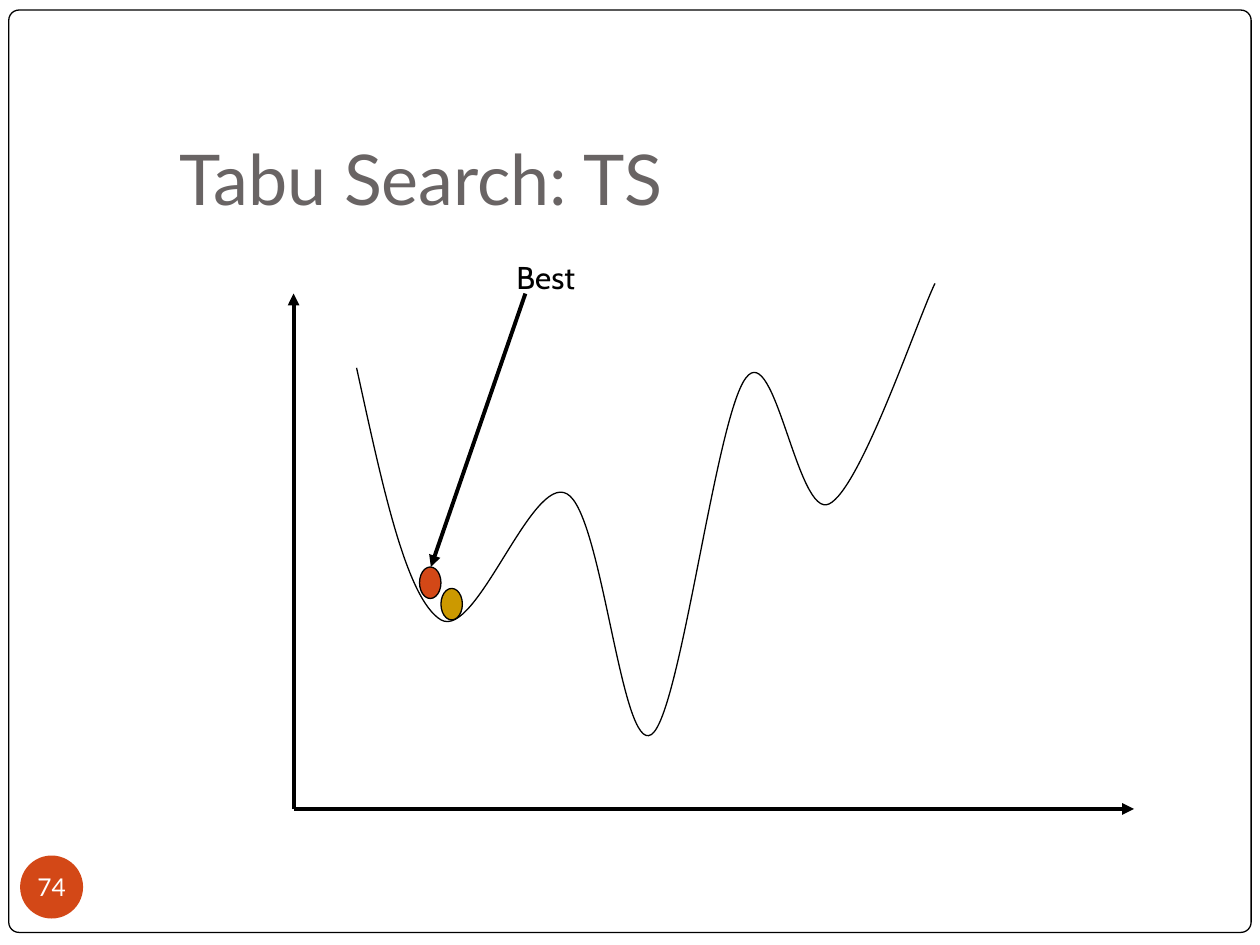
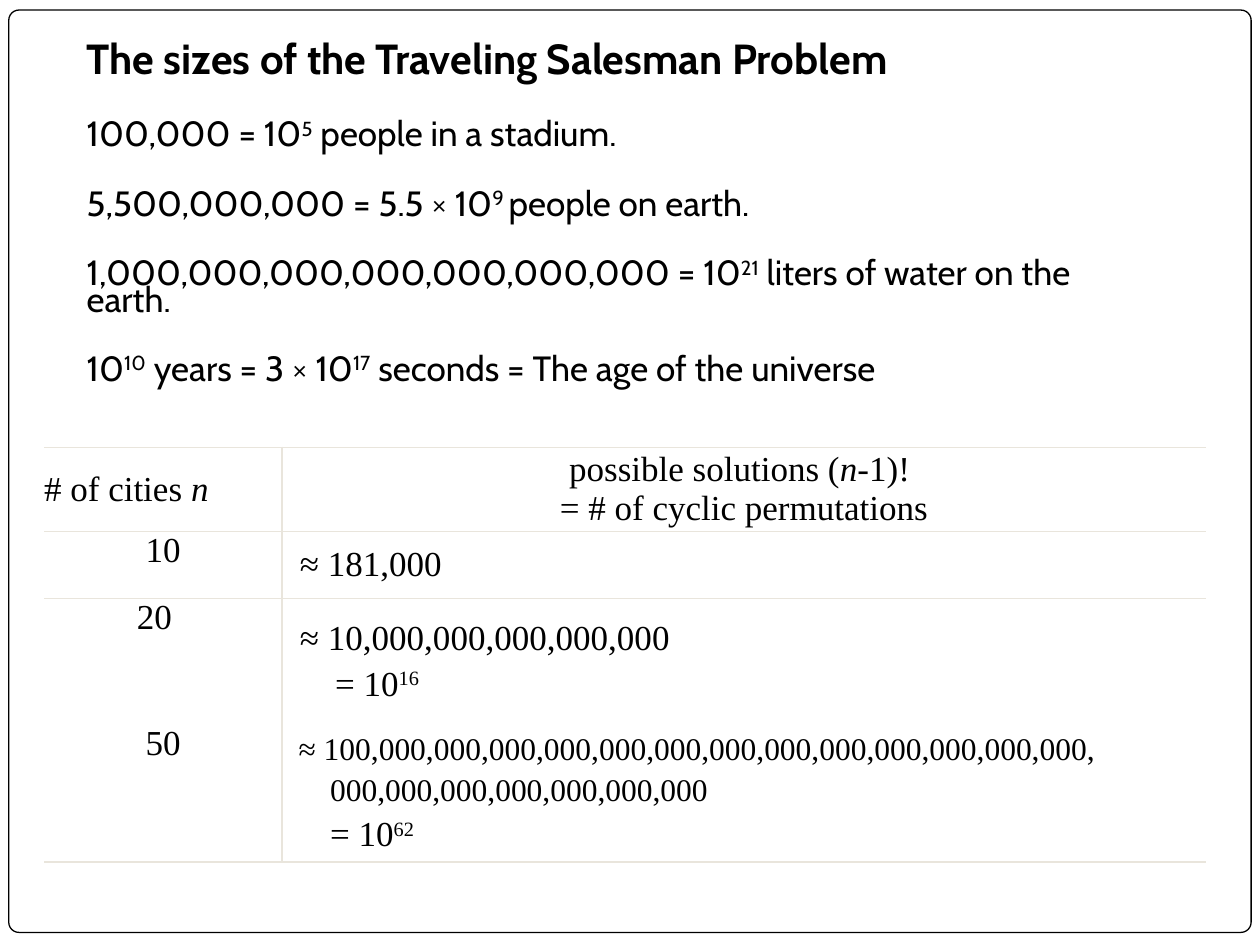
from collections import namedtuple

from lxml.etree import SubElement
from pptx import Presentation
from pptx.dml.color import RGBColor
from pptx.enum.shapes import MSO_CONNECTOR, MSO_SHAPE
from pptx.enum.text import MSO_ANCHOR, PP_ALIGN
from pptx.oxml.ns import qn
from pptx.util import Inches, Pt

COLORS = {"ink": "000000", "paper": "FFFFFF", "title": "696464",
          "accent": "D34817", "gold": "CC9900", "rule": "E9E5DC"}
HEADING, BODY, TABLE = "Lato", "Cabin", "Times New Roman"
NO_STYLE_GRID = "{2D5ABB26-0587-4C30-8999-92F81FD0307C}"
SUP, ITALIC, BOLD = "sup", "italic", "bold"

Box = namedtuple("Box", "left top width height")

CURVE = [(0.5, 0.67),
         (0.7, 1.58), (0.89, 2.5), (1.17, 2.67),
         (1.45, 2.83), (1.89, 1.51), (2.17, 1.67),
         (2.45, 1.82), (2.6, 3.74), (2.84, 3.58),
         (3.07, 3.43), (3.35, 1.06), (3.59, 0.75),
         (3.82, 0.44), (4, 1.87), (4.25, 1.75),
         (4.5, 1.63), (4.95, 0.29), (5.09, 0)]

FACTS = [
    (24, 0.65, ["100,000 = 10", ("5", SUP), " people in a stadium."]),
    (24, 0.65, ["5,500,000,000 = 5.5 × 10", ("9 ", SUP), "people on earth."]),
    (24, 0.65, ["1,000,000,000,000,000,000,000 = 10", ("21", SUP),
                " liters of water on the earth."]),
    (10, 1.25, ["10", ("10", SUP), " years = 3 × 10", ("17", SUP),
                " seconds = The age of the universe"]),
]

Line = namedtuple("Line", "wording size indent before", defaults=(20, 0, 0))

CITY_ROWS = [
    (0.67, [Line(["# of cities ", ("n", ITALIC)])],
     [Line(["possible solutions (", ("n-", ITALIC), "1)! "]),
      Line(["= # of cyclic permutations"])]),
    (0.53, [Line(["10"])], [Line(["≈ 181,000"], indent=0.14)]),
    (1, [Line(["20"])],
     [Line(["≈ 10,000,000,000,000,000"], indent=0.14),
      Line(["= 10", ("16", SUP)], indent=0.42, before=4)]),
    (1.09, [Line(["50"])],
     [Line(["≈ 100,000,000,000,000,000,000,000,000,000,000,000,000,000,"],
           18, 0.13),
      Line(["000,000,000,000,000,000,000"], 18, 0.38, 3.6),
      Line(["= 10", ("62", SUP)], 20, 0.38, 4)]),
]


def color(name):
    """Return the named colour."""
    return RGBColor.from_string(COLORS[name])


def write(paragraph, wording, size, font, ink="ink"):
    """Fill a paragraph with plain or (text, style) pieces."""
    for piece in wording:
        text, style = (piece, None) if isinstance(piece, str) else piece
        run = paragraph.add_run()
        run.text = text
        run.font.size, run.font.name = Pt(size), font
        run.font.color.rgb = color(ink)
        run.font.bold, run.font.italic = style == BOLD, style == ITALIC
        if style == SUP:
            run.font._element.set("baseline", "30000")


def add_text(slide, box, wording, size, font, ink="ink"):
    """Add a wrapping text box and return its frame."""
    frame = slide.shapes.add_textbox(*map(Inches, box)).text_frame
    frame.word_wrap = True
    write(frame.paragraphs[0], wording, size, font, ink)
    return frame


def add_shape(slide, preset, box, fill, outline="ink"):
    """Add a flat preset shape with a thin outline or none."""
    shape = slide.shapes.add_shape(preset, *map(Inches, box))
    shape.shadow.inherit = False
    shape.fill.solid()
    shape.fill.fore_color.rgb = color(fill)
    if outline:
        shape.line.color.rgb = color(outline)
        shape.line.width = Pt(0.75)
    else:
        shape.line.fill.background()
    return shape


def add_arrow(slide, start, end):
    """Draw a thick arrow between two points."""
    arrow = slide.shapes.add_connector(
        MSO_CONNECTOR.STRAIGHT, *map(Inches, start + end))
    arrow.line.color.rgb = color("ink")
    arrow.line.width = Pt(2.25)
    SubElement(arrow.line._get_or_add_ln(), qn("a:tailEnd"), type="triangle")
    SubElement(arrow._element.spPr, qn("a:effectLst"))


def add_curve(slide, points):
    """Draw cubic curves through a start point and triples of points."""
    start, *rest = [(Inches(x), Inches(y)) for x, y in points]
    builder = slide.shapes.build_freeform(*start, scale=1.0)
    builder.add_line_segments(rest, close=False)
    curve = builder.convert_to_shape()
    curve.shadow.inherit = False
    curve.fill.background()
    curve.line.color.rgb = color("ink")
    curve.line.width = Pt(0.75)
    outline = curve._element.xpath(".//a:path")[0]
    segments = outline.findall(qn("a:lnTo"))
    for first in range(0, len(segments), 3):
        bezier = SubElement(outline, qn("a:cubicBezTo"))
        for segment in segments[first:first + 3]:
            bezier.append(segment[0])
            outline.remove(segment)


def add_framed_slide(deck):
    """Add a blank slide with the rounded page frame."""
    slide = deck.slides.add_slide(deck.slide_layouts[6])
    frame = add_shape(slide, MSO_SHAPE.ROUNDED_RECTANGLE,
                      Box(0.07, 0.08, 9.86, 7.32), "paper")
    frame.adjustments[0] = 0.011
    return slide


def add_title(slide, box, title):
    """Add the slide title, resting on the bottom of its box."""
    frame = add_text(slide, box, [title], 40, HEADING, "title")
    frame.vertical_anchor = MSO_ANCHOR.BOTTOM
    frame.margin_bottom = Inches(0.1)


def add_page_number(slide, box, number):
    """Add the page number in its round badge."""
    badge = add_shape(slide, MSO_SHAPE.OVAL, box, "accent", None)
    frame = badge.text_frame
    frame.margin_left = frame.margin_right = 0
    frame.margin_top = frame.margin_bottom = 0
    frame.vertical_anchor = MSO_ANCHOR.MIDDLE
    frame.paragraphs[0].alignment = PP_ALIGN.CENTER
    write(frame.paragraphs[0], [number], 14, HEADING, "paper")


def add_search_landscape(slide, box):
    """Draw the axes, the cost curve, the two solutions and the best label."""
    def at(x, y):
        return box.left + x, box.top + y

    origin = at(0, box.height)
    add_arrow(slide, origin, at(0, 0.08))
    add_arrow(slide, origin, at(box.width, box.height))
    add_curve(slide, [at(x, y) for x, y in CURVE])
    add_shape(slide, MSO_SHAPE.OVAL, Box(*at(1.17, 2.42), 0.17, 0.25), "gold")
    add_text(slide, Box(*at(1.67, -0.25), 1.17, 0.4), ["Best"], 18, BODY)
    add_arrow(slide, at(1.84, 0.08), at(1.09, 2.25))
    add_shape(slide, MSO_SHAPE.OVAL, Box(*at(1, 2.25), 0.17, 0.25), "accent")


def add_facts(slide, box):
    """Add the bold heading and the list of large numbers."""
    heading = ("The sizes of the Traveling Salesman Problem", BOLD)
    frame = add_text(slide, box, [heading], 24, BODY)
    for before, spacing, wording in FACTS:
        paragraph = frame.add_paragraph()
        paragraph.space_before = Pt(before)
        paragraph.line_spacing = spacing
        write(paragraph, wording, 20, BODY)


def set_borders(cell, widths):
    """Set the cell's borders from a dict of sides and point widths."""
    properties = cell._tc.get_or_add_tcPr()
    for position, side in enumerate("LRTB"):
        width = widths.get(side, 0)
        border = properties.makeelement(qn(f"a:ln{side}"), {"w": str(Pt(width))})
        properties.insert(position, border)
        if width:
            fill = SubElement(border, qn("a:solidFill"))
            SubElement(fill, qn("a:srgbClr"), val=COLORS["rule"])
        else:
            SubElement(border, qn("a:noFill"))


def fill_cell(cell, lines, alignment, anchor):
    """Write lines into a cell without margins or fill."""
    cell.fill.background()
    cell.margin_left = cell.margin_right = 0
    cell.margin_top = cell.margin_bottom = 0
    cell.vertical_anchor = anchor
    frame = cell.text_frame
    for index, line in enumerate(lines):
        paragraph = frame.add_paragraph() if index else frame.paragraphs[0]
        paragraph.alignment = alignment
        if line.before:
            paragraph.space_before = Pt(line.before)
        paragraph._p.get_or_add_pPr().set("marL", str(Inches(line.indent)))
        write(paragraph, line.wording, line.size, TABLE)


def add_city_table(slide, box):
    """Add the table of city counts and possible solutions."""
    table = slide.shapes.add_table(
        len(CITY_ROWS), 2, *map(Inches, box)).table
    table._tbl.tblPr.find(qn("a:tableStyleId")).text = NO_STYLE_GRID
    table.first_row = table.horz_banding = False
    cities_width = 1.89
    table.columns[0].width = Inches(cities_width)
    table.columns[1].width = Inches(box.width - cities_width)
    rules = [1, 1, 0.5, 0, 1]
    for row, (height, cities, solutions) in enumerate(CITY_ROWS):
        table.rows[row].height = Inches(height)
        header = row == 0
        count, solution = table.cell(row, 0), table.cell(row, 1)
        fill_cell(count, cities,
                  PP_ALIGN.LEFT if header else PP_ALIGN.CENTER,
                  MSO_ANCHOR.MIDDLE if header else MSO_ANCHOR.TOP)
        fill_cell(solution, solutions,
                  PP_ALIGN.CENTER if header else PP_ALIGN.LEFT,
                  MSO_ANCHOR.MIDDLE)
        edges = {"T": rules[row], "B": rules[row + 1]}
        set_borders(count, {**edges, "R": 1})
        set_borders(solution, {**edges, "L": 1})
    table.cell(2, 0).margin_right = Inches(0.14)


def build_tabu_search(deck):
    """Build the tabu search slide."""
    slide = add_framed_slide(deck)
    add_title(slide, Box(1.33, 0.94, 8.52, 0.9), "Tabu Search: TS")
    add_page_number(slide, Box(0.16, 6.79, 0.5, 0.5), "74")
    add_search_landscape(slide, Box(2.33, 2.25, 6.67, 4.17))


def build_salesman_sizes(deck):
    """Build the slide on problem sizes."""
    slide = add_framed_slide(deck)
    add_facts(slide, Box(0.59, 0.21, 8.53, 2.9))
    add_city_table(slide, Box(0.35, 3.55, 9.22, 3.29))


def main():
    """Build and save the deck."""
    deck = Presentation()
    deck.slide_width, deck.slide_height = Inches(10), Inches(7.5)
    build_tabu_search(deck)
    build_salesman_sizes(deck)
    deck.save("out.pptx")


if __name__ == "__main__":
    main()
